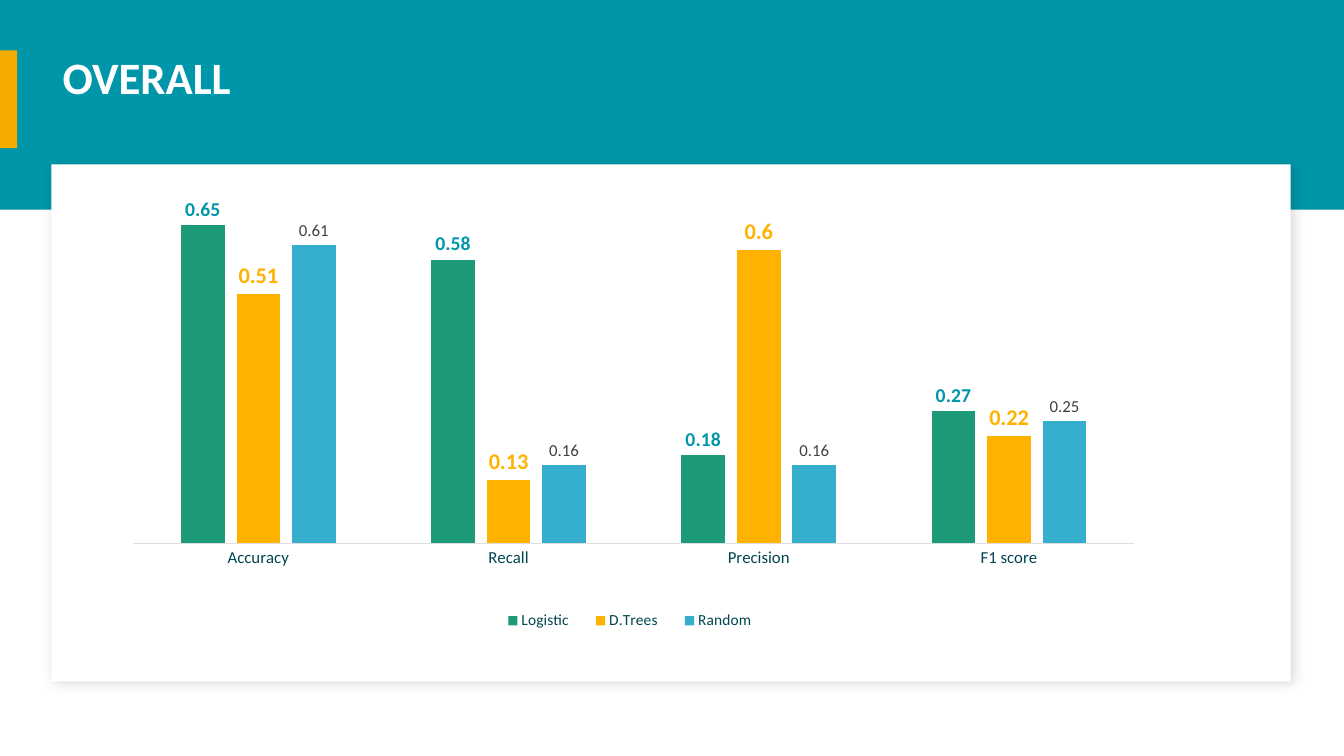
from lxml.etree import SubElement
from pptx import Presentation
from pptx.chart.data import CategoryChartData
from pptx.dml.color import RGBColor
from pptx.enum.chart import (XL_CHART_TYPE, XL_LABEL_POSITION, XL_LEGEND_POSITION,
                             XL_TICK_LABEL_POSITION, XL_TICK_MARK)
from pptx.enum.shapes import MSO_SHAPE
from pptx.enum.text import MSO_ANCHOR, MSO_AUTO_SIZE, PP_ALIGN
from pptx.oxml import parse_xml
from pptx.oxml.ns import nsdecls, qn
from pptx.util import Inches, Pt

FONT = "Calibri"
TEAL, DARK_TEAL, WHITE = "0096A9", "004550", "FFFFFF"
METRICS = ["Accuracy", "Recall", "Precision", "F1 score"]
# model, scores, bar colour, label format
MODELS = [
    ("Logistic", (0.65, 0.58, 0.18, 0.27), "1D9A78", dict(size=14, color=TEAL, bold=True)),
    ("D.Trees", (0.51, 0.13, 0.6, 0.22), "FFB300", dict(size=16, color="FFB300", bold=True)),
    ("Random", (0.61, 0.16, 0.16, 0.25), "36AFCE", dict(size=12, color="404040", bold=False)),
]


def rgb(color):
    return RGBColor.from_string(color)


def format_font(font, size, color, bold=False):
    for name, value in dict(name=FONT, size=Pt(size), bold=bold).items():
        setattr(font, name, value)
    font.color.rgb = rgb(color)


def add_block(slide, box, color):
    block = slide.shapes.add_shape(MSO_SHAPE.RECTANGLE, *map(Inches, box))
    block.shadow.inherit = False
    block.fill.solid()
    block.fill.fore_color.rgb = rgb(color)
    block.line.fill.background()
    return block


def add_soft_shadow(block):
    effects = block.element.spPr.find(qn("a:effectLst"))
    effects.append(parse_xml(
        f'<a:outerShdw {nsdecls("a")} blurRad="{Pt(9)}" dist="{Pt(3)}" dir="2700000"'
        ' algn="tl" rotWithShape="0"><a:srgbClr val="000000"><a:alpha val="15000"/>'
        '</a:srgbClr></a:outerShdw>'))


def add_backdrop(slide, width):
    add_block(slide, (0, 0, width, 2.08), TEAL)
    card = add_block(slide, (0.51, 1.63, 12.29, 5.13), WHITE)
    add_soft_shadow(card)
    add_block(slide, (0, 0.5, 0.17, 0.97), "F3AB00")


def set_title(slide, box, text):
    title = slide.shapes.title
    title.left, title.top, title.width, title.height = map(Inches, box)
    frame = title.text_frame
    frame.text = text
    frame.auto_size = MSO_AUTO_SIZE.NONE
    frame.vertical_anchor = MSO_ANCHOR.TOP
    heading = frame.paragraphs[0]
    heading.alignment = PP_ALIGN.LEFT
    heading.line_spacing = 0.9
    format_font(heading.runs[0].font, 32, WHITE, True)


def place_manually(part, index, fractions, inner=False):
    """Give a chart part a fixed box, in fractions of the chart's size."""
    for old in part.findall(qn("c:layout")):
        part.remove(old)
    layout = parse_xml(f'<c:layout {nsdecls("c")}><c:manualLayout/></c:layout>')
    settings = [("layoutTarget", "inner")] if inner else []
    settings += [("xMode", "edge"), ("yMode", "edge"), *zip("xywh", fractions)]
    for tag, value in settings:
        SubElement(layout[0], qn(f"c:{tag}")).set("val", str(value))
    part.insert(index, layout)


def format_axes(chart):
    scores = chart.value_axis
    for name, value in dict(minimum_scale=0, maximum_scale=0.7, visible=False,
                            has_major_gridlines=False).items():
        setattr(scores, name, value)
    metrics = chart.category_axis
    for name, value in dict(major_tick_mark=XL_TICK_MARK.NONE,
                            minor_tick_mark=XL_TICK_MARK.NONE,
                            tick_label_position=XL_TICK_LABEL_POSITION.NEXT_TO_AXIS,
                            has_major_gridlines=False).items():
        setattr(metrics, name, value)
    format_font(metrics.tick_labels.font, 12, DARK_TEAL)
    metrics.format.line.color.rgb = rgb("DEDEDE")
    metrics.format.line.width = Pt(0.75)


def format_bars(chart):
    bars = chart.plots[0]
    bars.gap_width, bars.overlap, bars.vary_by_categories = 219, -27, False
    for series, (_, _, color, label_format) in zip(bars.series, MODELS):
        series.format.fill.solid()
        series.format.fill.fore_color.rgb = rgb(color)
        series.invert_if_negative = False
        labels = series.data_labels
        labels.show_value = True
        labels.position = XL_LABEL_POSITION.OUTSIDE_END
        format_font(labels.font, **label_format)


def add_score_chart(slide, box):
    data = CategoryChartData(number_format="General")
    data.categories = METRICS
    for model, scores, _, _ in MODELS:
        data.add_series(model, scores)
    chart = slide.shapes.add_chart(
        XL_CHART_TYPE.COLUMN_CLUSTERED, *map(Inches, box), data).chart
    chart.has_title = False
    format_font(chart.font, 10, "000000")
    format_axes(chart)
    format_bars(chart)
    chart.has_legend = True
    legend = chart.legend
    legend.position = XL_LEGEND_POSITION.BOTTOM
    legend.include_in_layout = False
    format_font(legend.font, 11, DARK_TEAL)
    plot_area = chart.element.find(f'{qn("c:chart")}/{qn("c:plotArea")}')
    place_manually(plot_area, 0, (0.058, 0.087, 0.941, 0.712), inner=True)
    place_manually(chart.element.find(f'{qn("c:chart")}/{qn("c:legend")}'), 1,
                   (0.39, 0.93, 0.27, 0.06))


def main():
    deck = Presentation()
    deck.slide_width, deck.slide_height = Inches(13.33), Inches(7.5)
    slide = deck.slides.add_slide(deck.slide_layouts[5])
    add_backdrop(slide, 13.33)
    set_title(slide, (0.52, 0.5, 12.41, 0.45), "OVERALL")
    # The title starts at the back; bring it in front of the banner.
    slide.shapes.title.element.getparent().append(slide.shapes.title.element)
    add_score_chart(slide, (0.71, 1.58, 10.55, 4.77))
    deck.save("out.pptx")


if __name__ == "__main__":
    main()
